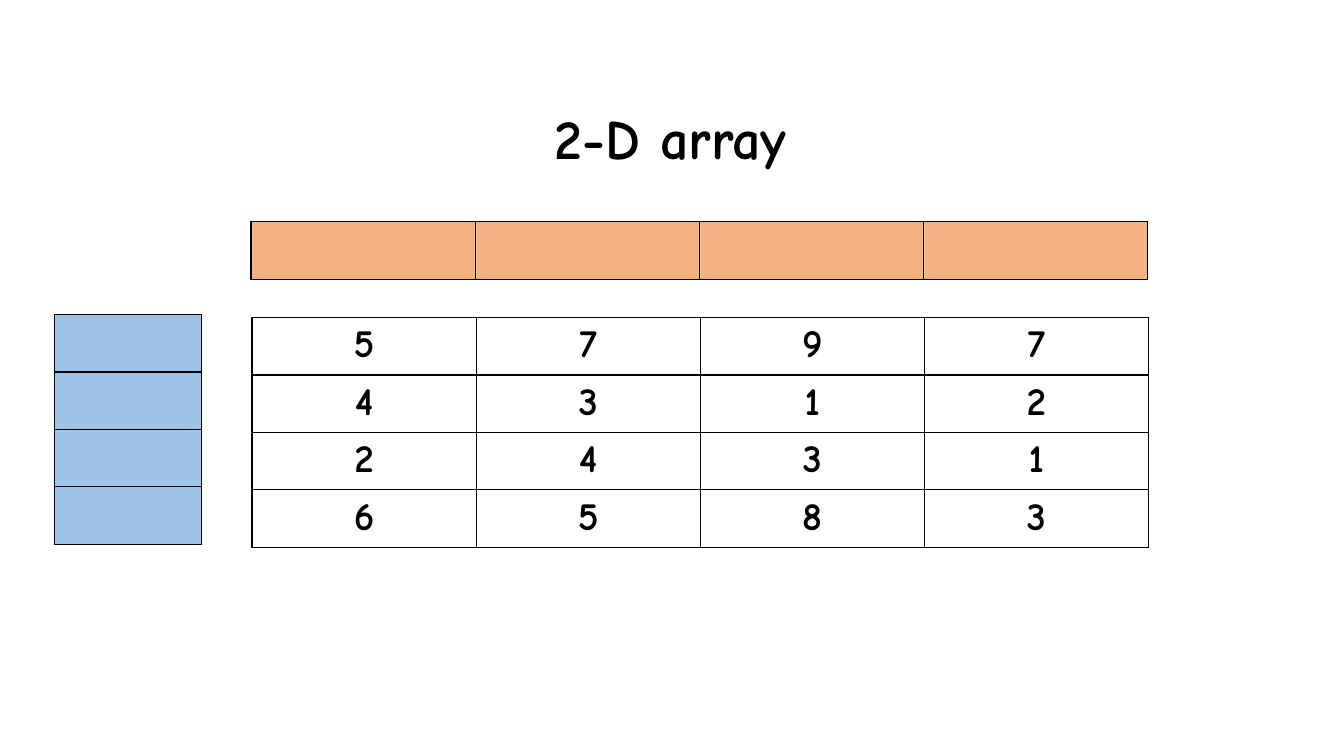
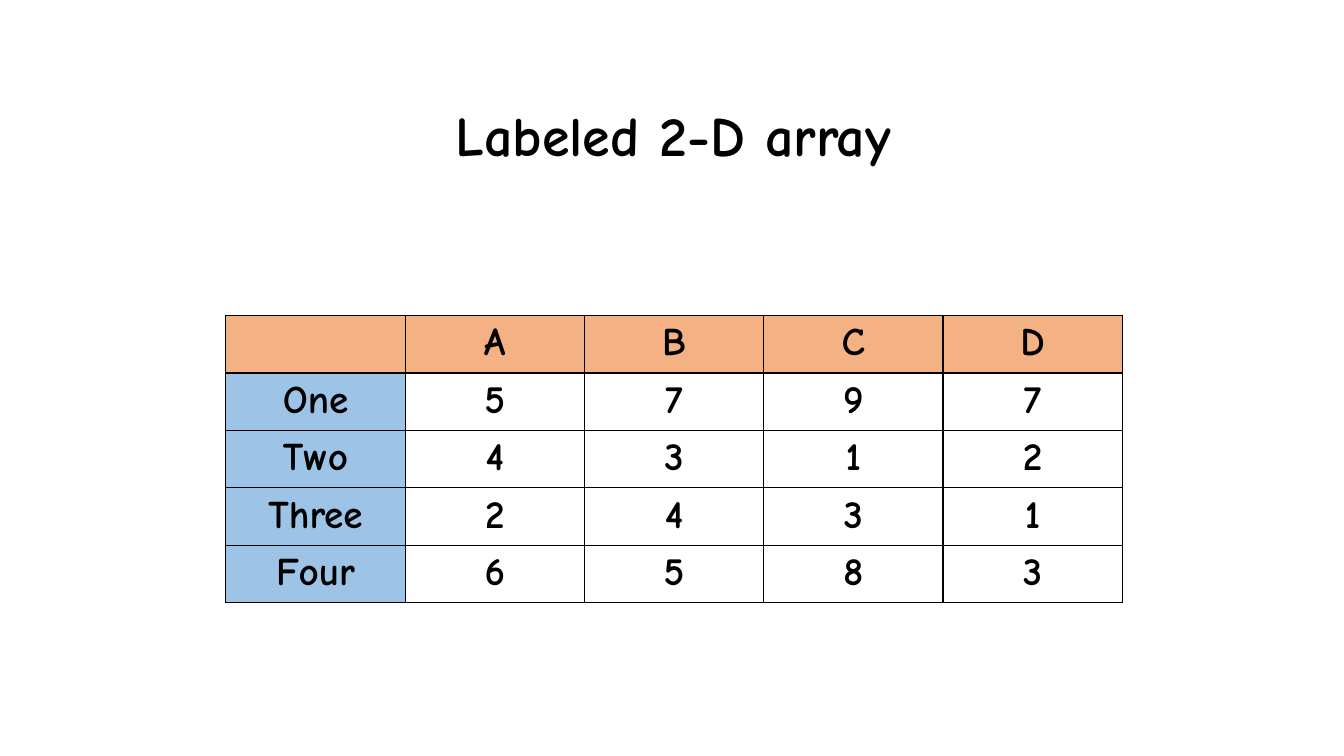
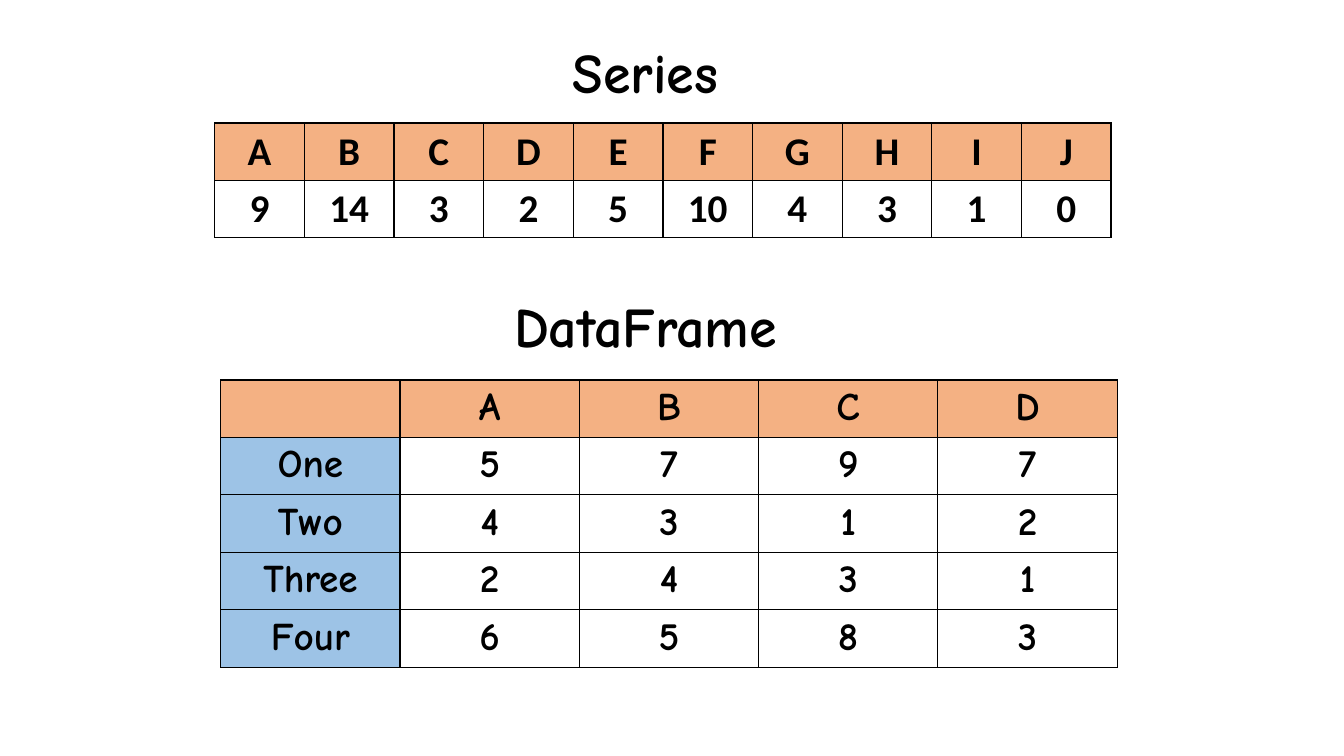
from lxml.etree import SubElement
from pptx import Presentation
from pptx.dml.color import RGBColor
from pptx.enum.text import MSO_ANCHOR as Anchor, MSO_AUTO_SIZE as AutoSize, PP_ALIGN as Align
from pptx.oxml.ns import qn
from pptx.util import Inches, Pt

COLORS = {"ink": "000000", "header": "F4B183", "label": "9DC3E6"}
HAND_FONT, PLAIN_FONT = "Comic Neue", "Calibri"
HEADING_SIZE, CELL_SIZE = 40, 28
ROW_HEIGHT, TABLE_WIDTH, LABEL_WIDTH = 0.57, 8.89, 1.46
HEADING_WIDTH, HEADING_HEIGHT = 5.12, 0.77

VALUES = [[5, 7, 9, 7], [4, 3, 1, 2], [2, 4, 3, 1], [6, 5, 8, 3]]
COLUMN_NAMES = list("ABCD")
ROW_NAMES = ["One", "Two", "Three", "Four"]
LABELED = [["", *COLUMN_NAMES]] + [[name, *row] for name, row in zip(ROW_NAMES, VALUES)]
SERIES = [list("ABCDEFGHIJ"), [9, 14, 3, 2, 5, 10, 4, 3, 1, 0]]

# Headings: (text, left, top, width); the first one on a slide is its title.
# Tables: (rows, left, top, width, header rows, label columns, font).
SLIDES = [
    {
        "headings": [("2-D array", 4.09, 0.98, HEADING_WIDTH)],
        "tables": [
            (VALUES, 2.5, 3.15, TABLE_WIDTH, 0, 0, HAND_FONT),
            ([[""] * len(COLUMN_NAMES)], 2.49, 2.2, TABLE_WIDTH, 1, 0, HAND_FONT),
            ([[""] for name in ROW_NAMES], 0.54, 3.12, LABEL_WIDTH, 0, 1, HAND_FONT),
        ],
    },
    {
        "headings": [("Labeled 2-D array", 3.75, 0.95, 5.86)],
        "tables": [(LABELED, 2.24, 3.13, TABLE_WIDTH, 1, 1, HAND_FONT)],
    },
    {
        "headings": [
            ("Series", 3.84, 0.32, HEADING_WIDTH),
            ("DataFrame", 3.84, 2.84, HEADING_WIDTH),
        ],
        "tables": [
            (SERIES, 2.13, 1.22, TABLE_WIDTH, 1, 0, PLAIN_FONT),
            (LABELED, 2.19, 3.77, TABLE_WIDTH, 1, 1, HAND_FONT),
        ],
    },
]


def write(frame, text, size, font_name):
    """Put one centred, bold paragraph into a text frame."""
    para = frame.paragraphs[0]
    para.text = str(text)
    para.alignment = Align.CENTER
    para.font.size = Pt(size)
    para.font.name = font_name
    para.font.bold = True
    para.font.color.rgb = RGBColor.from_string(COLORS["ink"])


def format_heading(box, text, left, top, width):
    """Place a heading box and give it the shared heading style."""
    box.left, box.top = Inches(left), Inches(top)
    box.width, box.height = Inches(width), Inches(HEADING_HEIGHT)
    frame = box.text_frame
    frame.word_wrap = True
    frame.auto_size = AutoSize.SHAPE_TO_FIT_TEXT
    frame.vertical_anchor = Anchor.TOP
    write(frame, text, HEADING_SIZE, HAND_FONT)


def add_borders(cell):
    """Draw a one-point line on all four sides of a cell."""
    properties = cell._tc.get_or_add_tcPr()
    for side in ("a:lnL", "a:lnR", "a:lnT", "a:lnB"):
        line = SubElement(properties, qn(side), w=str(Pt(1)))
        fill = SubElement(line, qn("a:solidFill"))
        SubElement(fill, qn("a:srgbClr"), val=COLORS["ink"])


def add_grid(page, rows, left, top, width, header_rows, label_columns, font_name):
    """Add a bordered table with coloured header rows and label columns."""
    table = page.shapes.add_table(
        len(rows), len(rows[0]), Inches(left), Inches(top),
        Inches(width), Inches(ROW_HEIGHT * len(rows)),
    ).table
    table.first_row = table.horz_banding = False
    for row_index, row in enumerate(rows):
        for column_index, value in enumerate(row):
            cell = table.cell(row_index, column_index)
            add_borders(cell)
            if row_index < header_rows or column_index < label_columns:
                role = "header" if row_index < header_rows else "label"
                cell.fill.solid()
                cell.fill.fore_color.rgb = RGBColor.from_string(COLORS[role])
            else:
                cell.fill.background()
            if value != "":
                write(cell.text_frame, value, CELL_SIZE, font_name)


def build_slide(deck, content):
    """Build one title-only slide from its headings and tables."""
    page = deck.slides.add_slide(deck.slide_layouts[5])
    title, *others = content["headings"]
    format_heading(page.shapes.title, *title)
    for table in content["tables"]:
        add_grid(page, *table)
    for heading in others:
        format_heading(page.shapes.add_textbox(0, 0, 0, 0), *heading)


deck = Presentation()
deck.slide_width, deck.slide_height = Inches(13.33), Inches(7.5)
for content in SLIDES:
    build_slide(deck, content)
deck.save("out.pptx")
